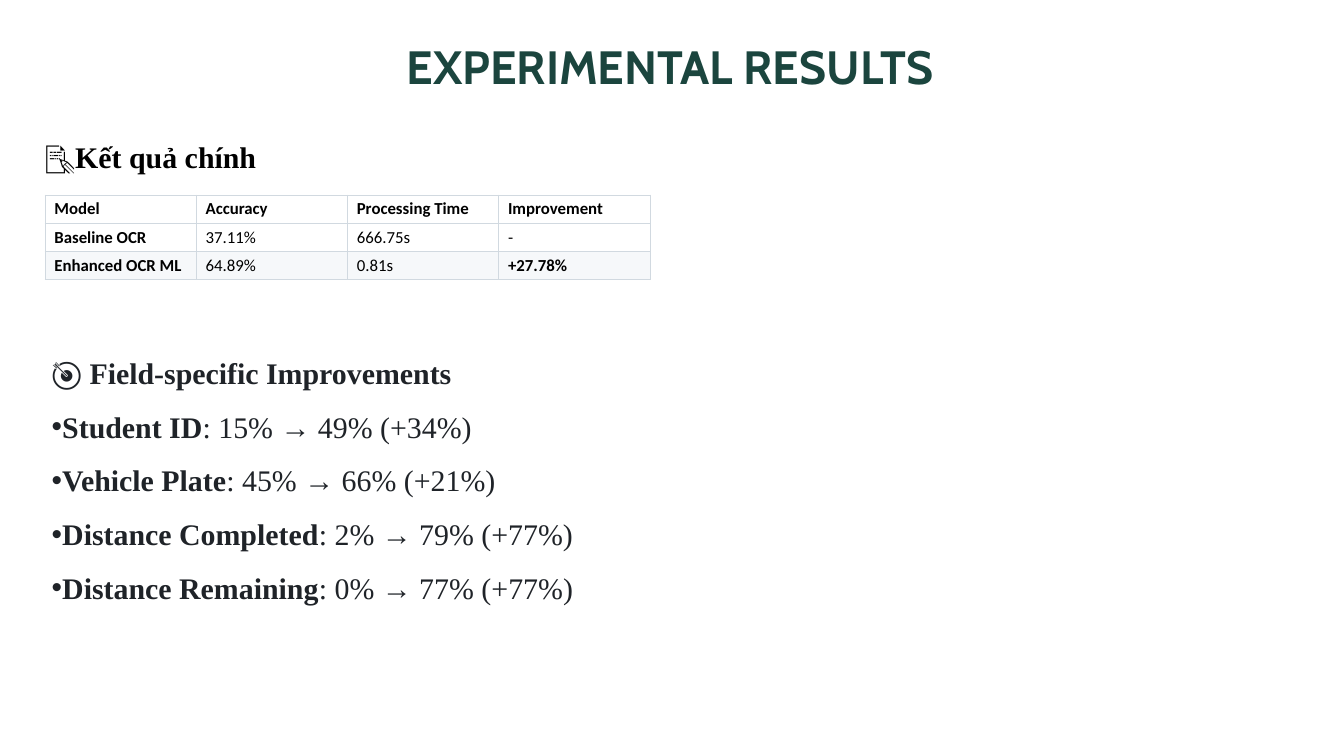
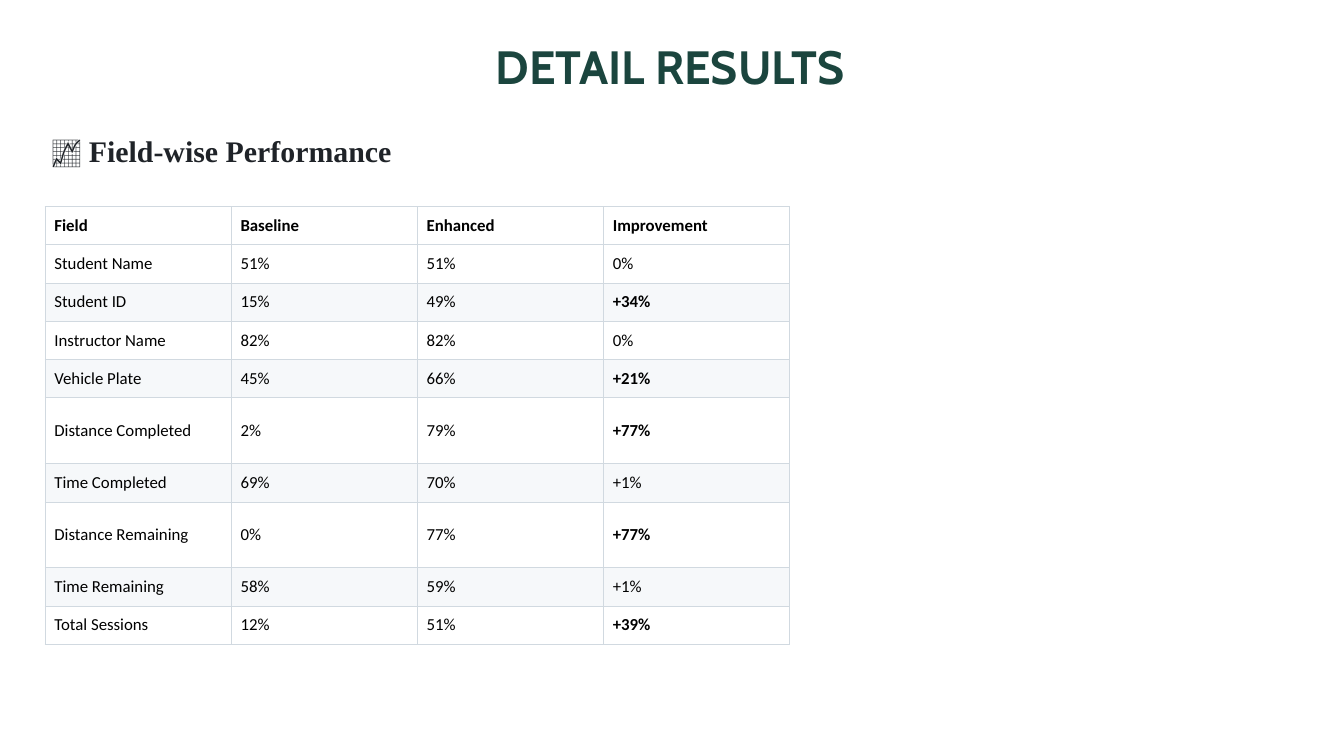
import pptx
import pptx.dml.color
import pptx.enum.text
import pptx.oxml
import pptx.oxml.ns
import pptx.util

Inches = pptx.util.Inches
Pt = pptx.util.Pt
RGBColor = pptx.dml.color.RGBColor
Align = pptx.enum.text.PP_ALIGN
Anchor = pptx.enum.text.MSO_ANCHOR
AutoSize = pptx.enum.text.MSO_AUTO_SIZE

GREEN = RGBColor(0x1B, 0x45, 0x3E)
BLACK = RGBColor(0x00, 0x00, 0x00)
INK = RGBColor(0x1F, 0x23, 0x28)
WHITE = RGBColor(0xFF, 0xFF, 0xFF)
BAND = RGBColor(0xF6, 0xF8, 0xFA)
GRID = RGBColor(0xD1, 0xD9, 0xE0)

LEFT = 0.67
TITLE_AND_BODY, TITLE_ONLY = 1, 5

MAIN_RESULTS = [
    ("Model", "Accuracy", "Processing Time", "Improvement"),
    ("Baseline OCR", "37.11%", "666.75s", "-"),
    ("Enhanced OCR ML", "64.89%", "0.81s", "+27.78%"),
]
IMPROVEMENTS = [
    ("Student ID", "15% → 49% (+34%)"),
    ("Vehicle Plate", "45% → 66% (+21%)"),
    ("Distance Completed", "2% → 79% (+77%)"),
    ("Distance Remaining", "0% → 77% (+77%)"),
]
FIELD_RESULTS = [
    ("Field", "Baseline", "Enhanced", "Improvement"),
    ("Student Name", "51%", "51%", "0%"),
    ("Student ID", "15%", "49%", "+34%"),
    ("Instructor Name", "82%", "82%", "0%"),
    ("Vehicle Plate", "45%", "66%", "+21%"),
    ("Distance Completed", "2%", "79%", "+77%"),
    ("Time Completed", "69%", "70%", "+1%"),
    ("Distance Remaining", "0%", "77%", "+77%"),
    ("Time Remaining", "58%", "59%", "+1%"),
    ("Total Sessions", "12%", "51%", "+39%"),
]


def set_font(paragraph, name, size, color, bold=None):
    font = paragraph.font
    font.name, font.size, font.bold = name, Pt(size), bold
    font.color.rgb = color


def place(box, left, top, width, height):
    box.left, box.top = Inches(left), Inches(top)
    box.width, box.height = Inches(width), Inches(height)


def set_frame(frame, side=0.1, edge=0.05):
    frame.word_wrap = True
    frame.auto_size = AutoSize.SHAPE_TO_FIT_TEXT
    frame.vertical_anchor = Anchor.TOP
    frame.margin_left = frame.margin_right = Inches(side)
    frame.margin_top = frame.margin_bottom = Inches(edge)


def add_page(deck, layout, title):
    page = deck.slides.add_slide(deck.slide_layouts[layout])
    box = page.shapes.title
    place(box, 1.22, 0.57, 17.51, 0.84)
    set_frame(box.text_frame, 0, 0)
    box.text_frame.text = title
    paragraph = box.text_frame.paragraphs[0]
    paragraph.alignment = Align.CENTER
    paragraph.line_spacing = Pt(60)
    set_font(paragraph, "Cabin", 50, GREEN, True)
    return page


def add_heading(page, text, top, width, height, color, margins=(0.1, 0.05), spacing=1.0):
    box = page.shapes.add_textbox(Inches(LEFT), Inches(top), Inches(width), Inches(height))
    set_frame(box.text_frame, *margins)
    paragraph = box.text_frame.paragraphs[0]
    paragraph.text = text
    paragraph.line_spacing = spacing
    set_font(paragraph, "Times New Roman", 32, color, True)


def set_bullet(paragraph, bullet):
    """Start the text at the margin, with a bullet or with none."""
    properties = paragraph._p.get_or_add_pPr()
    properties.set("marL", "0")
    properties.set("indent", "0")
    tag = "a:buChar" if bullet else "a:buNone"
    mark = pptx.oxml.parse_xml(f"<{tag} {pptx.oxml.ns.nsdecls('a')}/>")
    if bullet:
        mark.set("char", bullet)
    properties.append(mark)


def fill_body(box, heading, items):
    place(box, LEFT, 4.96, 8.33, 4.04)
    frame = box.text_frame
    set_frame(frame)
    lines = [(heading, "", None)]
    lines += [(label, f": {change}", "•") for label, change in items]
    for index, (label, rest, bullet) in enumerate(lines):
        paragraph = frame.paragraphs[0] if index == 0 else frame.add_paragraph()
        paragraph.line_spacing = 1.5
        paragraph.space_before = Pt(0)
        set_bullet(paragraph, bullet)
        set_font(paragraph, "Times New Roman", 32, INK)
        span = paragraph.add_run()
        span.text = label
        span.font.bold = True
        if rest:
            paragraph.add_run().text = rest


def set_borders(cell):
    properties = cell._tc.get_or_add_tcPr()
    for side in "LRTB":
        properties.append(pptx.oxml.parse_xml(
            f'<a:ln{side} {pptx.oxml.ns.nsdecls("a")} w="{Pt(0.75)}">'
            f'<a:solidFill><a:srgbClr val="{GRID}"/></a:solidFill></a:ln{side}>'))


def is_large_gain(text):
    return text.startswith("+") and float(text.strip("+%")) >= 10


def add_results_table(page, rows, top, column_width, heights, bold_labels=False):
    columns = len(rows[0])
    table = page.shapes.add_table(
        len(rows), columns, Inches(LEFT), Inches(top),
        Inches(column_width * columns), Inches(sum(heights))).table
    for column in table.columns:
        column.width = Inches(column_width)
    for r, (values, height) in enumerate(zip(rows, heights)):
        table.rows[r].height = Inches(height)
        for c, value in enumerate(values):
            cell = table.cell(r, c)
            cell.text = value
            cell.vertical_anchor = Anchor.MIDDLE
            cell.margin_left = cell.margin_right = Inches(0.14)
            cell.margin_top = cell.margin_bottom = Inches(0.06)
            set_borders(cell)
            cell.fill.solid()
            cell.fill.fore_color.rgb = BAND if r and r % 2 == 0 else WHITE
            bold = r == 0 or (bold_labels and c == 0) or is_large_gain(value)
            set_font(cell.text_frame.paragraphs[0], "Calibri", 18, BLACK, bold)


def main():
    deck = pptx.Presentation()
    deck.slide_width, deck.slide_height = Inches(20), Inches(11.25)

    page = add_page(deck, TITLE_AND_BODY, "EXPERIMENTAL RESULTS")
    add_heading(page, "📝Kết quả chính", 1.79, 18.5, 0.73, BLACK, (0, 0), 1.5)
    add_results_table(page, MAIN_RESULTS, 2.9, 2.25, [0.42] * 3, bold_labels=True)
    fill_body(page.placeholders[1], "🎯 Field-specific Improvements", IMPROVEMENTS)

    page = add_page(deck, TITLE_ONLY, "DETAIL RESULTS")
    add_heading(page, "📈 Field-wise Performance", 1.92, 10, 0.64, INK)
    heights = [0.98 if row[0].startswith("Distance") else 0.57 for row in FIELD_RESULTS]
    add_results_table(page, FIELD_RESULTS, 3.07, 2.77, heights)

    deck.save("out.pptx")


if __name__ == "__main__":
    main()
